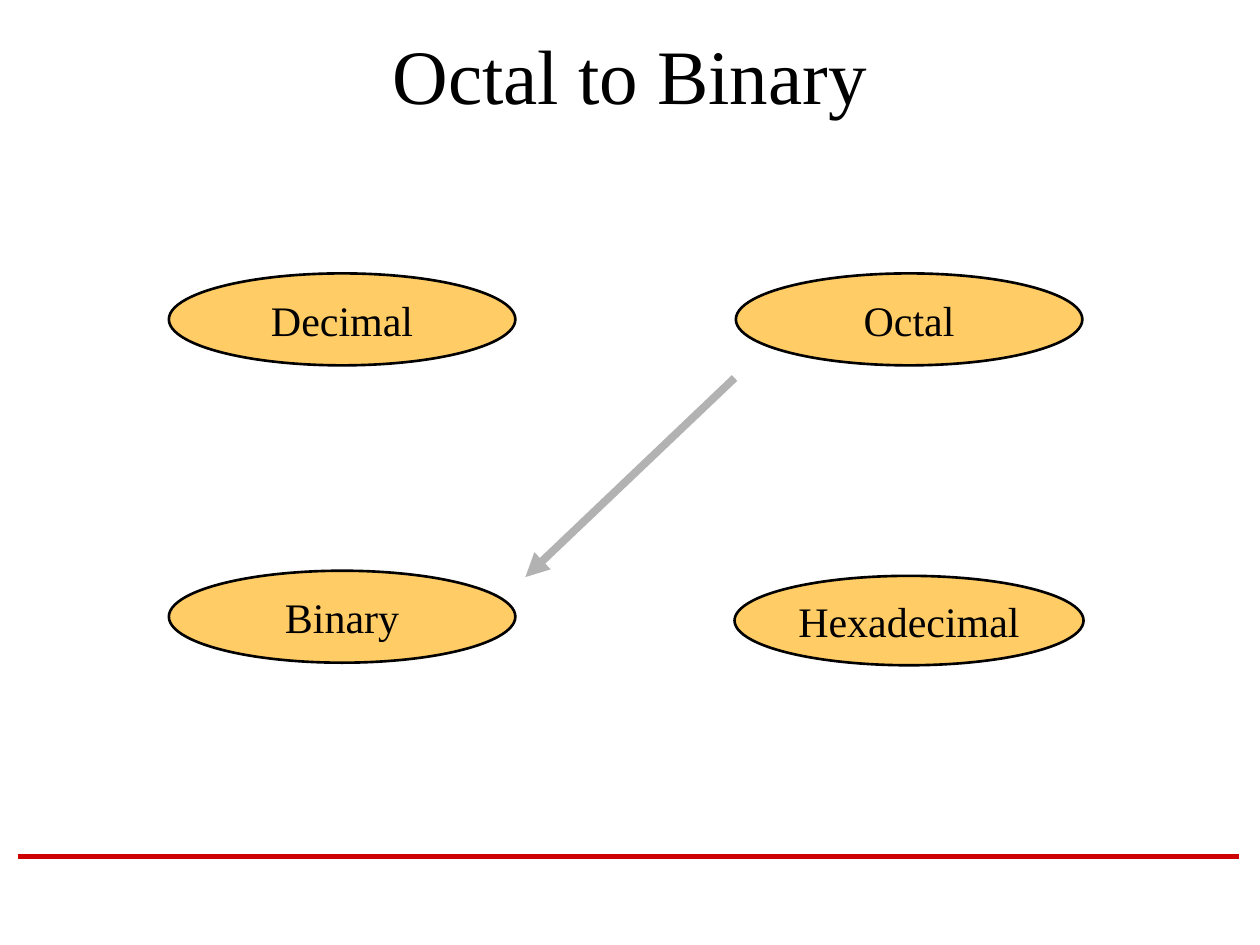
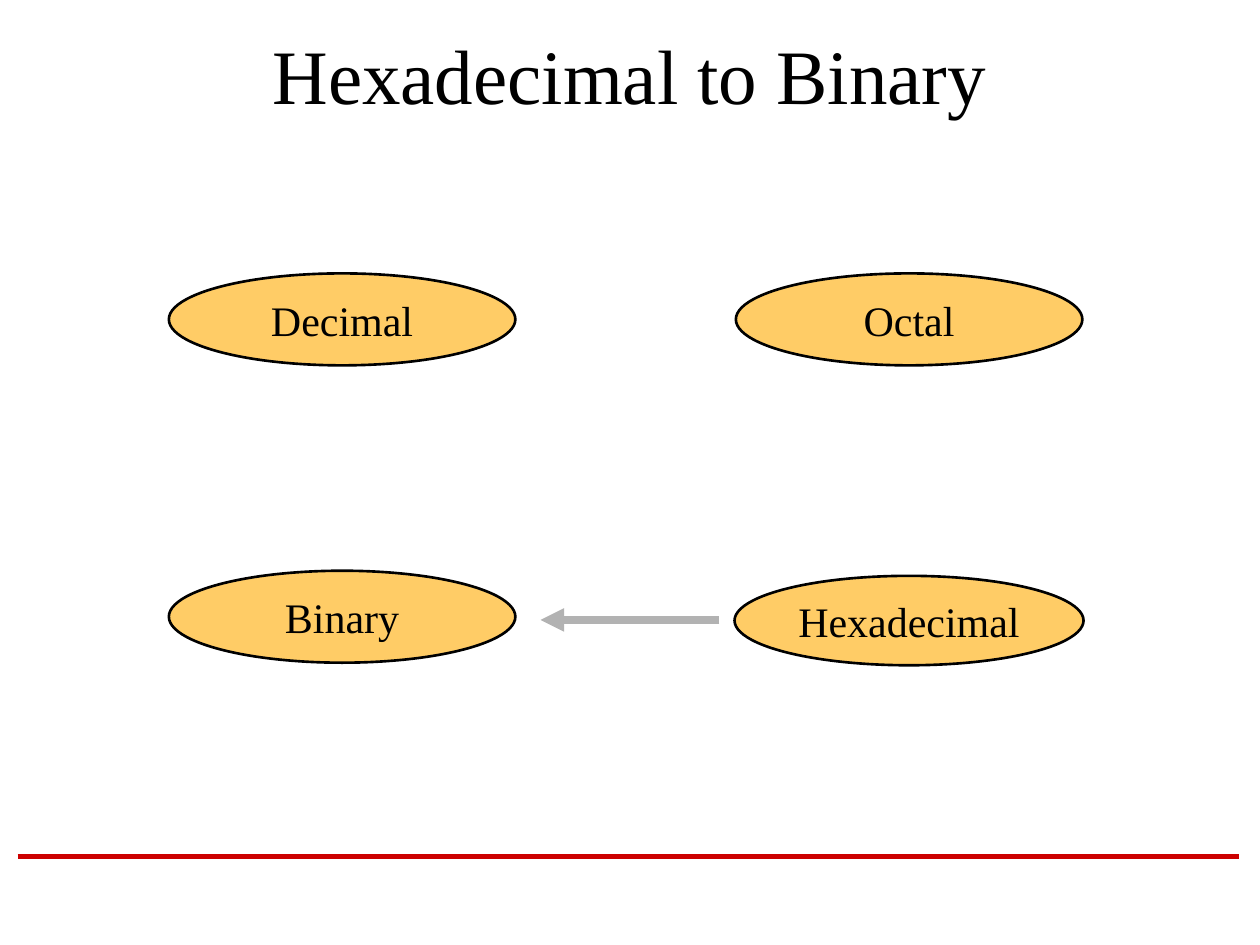
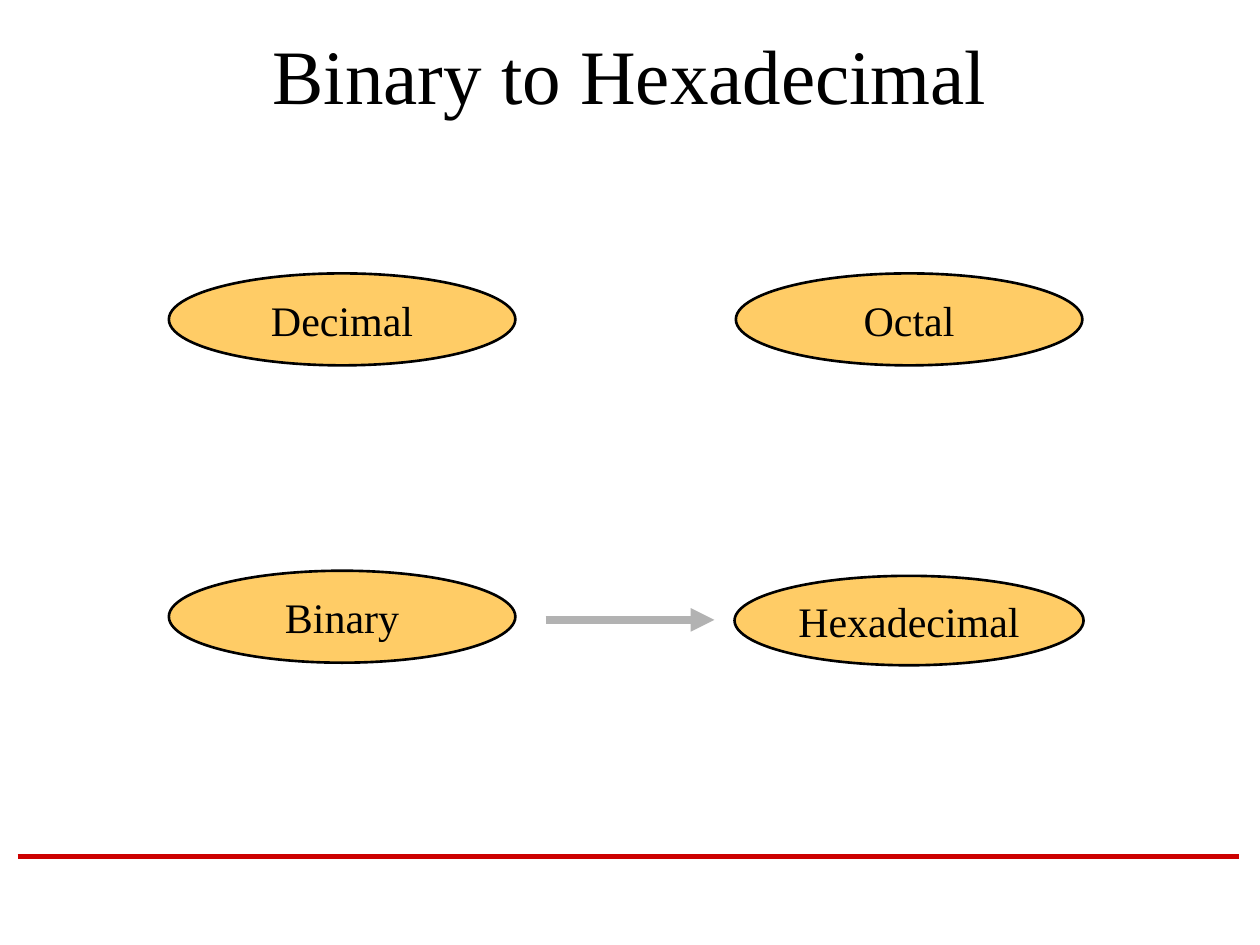
from dataclasses import dataclass

from lxml import etree
from pptx import Presentation
from pptx import util as u
from pptx.dml.color import RGBColor
from pptx.enum import shapes, text
from pptx.oxml import ns

# Content: title, arrow start, arrow end
CONVERSIONS = [
    ("Octal to Binary", (5.83, 3), (4.17, 4.58)),
    ("Hexadecimal to Binary", (5.71, 4.92), (4.29, 4.92)),
    ("Binary to Hexadecimal", (4.33, 4.92), (5.67, 4.92)),
]

# Number systems: label, column, row; the long label has its own size and drop
SYSTEMS = [
    ("Hexadecimal", 1, 1),
    ("Decimal", 0, 0),
    ("Octal", 1, 0),
    ("Binary", 0, 1),
]
COLUMN_CENTERS = (2.715, 7.215)
ROW_CENTERS = (2.535, 4.895)
OVAL_SIZE = (2.75, 0.73)
SPECIAL_OVALS = {"Hexadecimal": (2.77, 0.71, 0.03)}

TITLE_BOX = (0.75, 0.17, 8.5, 0.83)
FOOTER_RULE = ((0.14, 6.8), (9.83, 6.8))


@dataclass(frozen=True)
class Theme:
    font: str = "Times New Roman"
    ink: str = "000000"
    oval: str = "FFCC66"
    arrow: str = "B2B2B2"
    rule: str = "CC0000"
    title_size: float = 44
    label_size: float = 24
    outline: float = 1.5
    arrow_width: float = 4.5
    rule_width: float = 3


THEME = Theme()


# Shared helpers
def set_text(shape, words, size, wrap):
    frame = shape.text_frame
    frame.text = words
    frame_format = {
        "word_wrap": wrap,
        "auto_size": text.MSO_AUTO_SIZE.NONE,
        "vertical_anchor": text.MSO_ANCHOR.MIDDLE,
        "margin_left": u.Inches(0.1),
        "margin_right": u.Inches(0.1),
        "margin_top": u.Inches(0.05),
        "margin_bottom": u.Inches(0.05),
    }
    for name, value in frame_format.items():
        setattr(frame, name, value)
    paragraph = frame.paragraphs[0]
    paragraph.alignment = text.PP_ALIGN.CENTER
    font = paragraph.runs[0].font
    for name, value in {"name": THEME.font, "size": u.Pt(size)}.items():
        setattr(font, name, value)
    font.color.rgb = RGBColor.from_string(THEME.ink)


def set_line(line, color, width):
    line.color.rgb = RGBColor.from_string(color)
    line.width = u.Pt(width)


def add_line(slide, start, end, color, width, arrowhead=False):
    line = slide.shapes.add_connector(
        shapes.MSO_CONNECTOR.STRAIGHT, *map(u.Inches, start + end))
    set_line(line.line, color, width)
    if arrowhead:
        etree.SubElement(line.line._get_or_add_ln(), ns.qn("a:tailEnd"),
                         type="triangle")
    etree.SubElement(line._element.spPr, ns.qn("a:effectLst"))


# Slide parts
def add_title(slide, words):
    title = slide.shapes.title
    for name, value in zip(("left", "top", "width", "height"), TITLE_BOX):
        setattr(title, name, u.Inches(value))
    set_text(title, words, THEME.title_size, wrap=True)


def add_system(slide, label, column, row):
    width, height, drop = SPECIAL_OVALS.get(label, (*OVAL_SIZE, 0))
    left = COLUMN_CENTERS[column] - width / 2
    top = ROW_CENTERS[row] + drop - height / 2
    oval = slide.shapes.add_shape(
        shapes.MSO_SHAPE.OVAL, *map(u.Inches, (left, top, width, height)))
    oval.shadow.inherit = False
    oval.fill.solid()
    oval.fill.fore_color.rgb = RGBColor.from_string(THEME.oval)
    set_line(oval.line, THEME.ink, THEME.outline)
    set_text(oval, label, THEME.label_size, wrap=False)


def main():
    deck = Presentation()
    deck.slide_width, deck.slide_height = u.Inches(10), u.Inches(7.5)
    title_only = deck.slide_layouts[5]
    for title, start, end in CONVERSIONS:
        slide = deck.slides.add_slide(title_only)
        add_line(slide, *FOOTER_RULE, THEME.rule, THEME.rule_width)
        add_title(slide, title)
        for system in SYSTEMS:
            add_system(slide, *system)
        add_line(slide, start, end, THEME.arrow, THEME.arrow_width,
                 arrowhead=True)
    deck.save("out.pptx")


if __name__ == "__main__":
    main()
